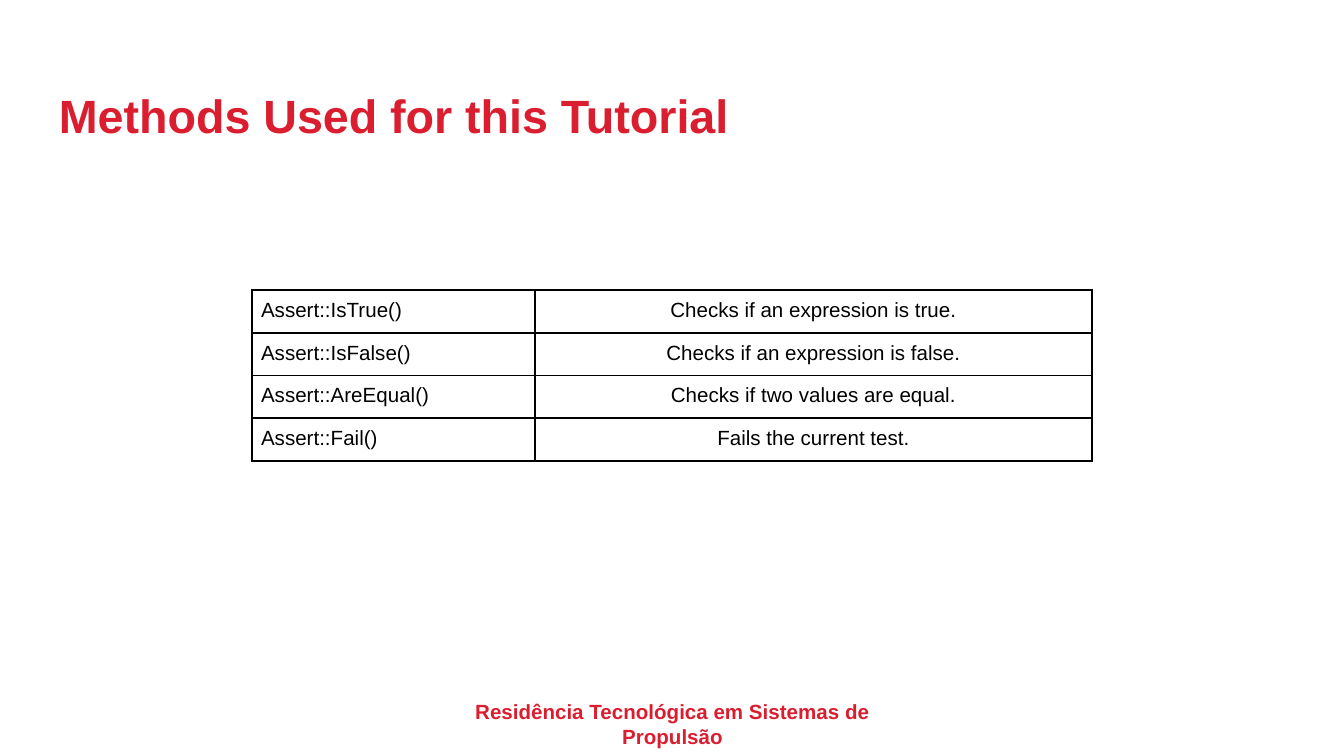
from lxml.etree import SubElement
from pptx import Presentation
from pptx.dml.color import RGBColor
from pptx.enum.text import MSO_ANCHOR, MSO_AUTO_SIZE, PP_ALIGN
from pptx.oxml.ns import qn
from pptx.util import Pt

SCALE = 914400 / 134.4
RED, BLACK = "DB1E2F", "000000"
METHODS = [
    ("Assert::IsTrue()", "Checks if an expression is true."),
    ("Assert::IsFalse()", "Checks if an expression is false."),
    ("Assert::AreEqual()", "Checks if two values are equal."),
    ("Assert::Fail()", "Fails the current test."),
]


def px(n):
    return round(n * SCALE)


def rgb(value):
    return RGBColor.from_string(value)


def set_attrs(obj, values):
    for name, value in values.items():
        setattr(obj, name, value)


def write(tf, text, size, color, bold=False, align=PP_ALIGN.LEFT):
    p = tf.paragraphs[0]
    p.alignment = align
    r = p.add_run()
    r.text = text
    set_attrs(r.font, {"name": "Arial", "size": Pt(size), "bold": bold})
    r.font.color.rgb = rgb(color)


def add_text(s, box, text, size, pad, align, frame):
    tf = s.shapes.add_textbox(*map(px, box)).text_frame
    set_attrs(tf, {"word_wrap": True, "margin_left": px(13), "margin_right": px(13),
                   "margin_top": px(pad), "margin_bottom": px(pad), **frame})
    write(tf, text, size, RED, True, align)


def add_borders(cell, color, width):
    tcPr = cell._tc.get_or_add_tcPr()
    for i, side in enumerate(("lnL", "lnR", "lnT", "lnB")):
        ln = SubElement(tcPr, qn(f"a:{side}"), w=str(Pt(width)))
        fill = SubElement(ln, qn("a:solidFill"))
        SubElement(fill, qn("a:srgbClr"), val=color)
        tcPr.insert(i, ln)


def add_methods_table(s, box, col_widths):
    left, top, width, height = box
    table = s.shapes.add_table(len(METHODS), len(col_widths), *map(px, box)).table
    set_attrs(table, {"first_row": False, "horz_banding": False})
    for col, w in zip(table.columns, col_widths):
        col.width = px(w)
    for row, texts in zip(table.rows, METHODS):
        row.height = px(height / len(METHODS))
        for cell, text, align in zip(row.cells, texts, (PP_ALIGN.LEFT, PP_ALIGN.CENTER)):
            set_attrs(cell, {f"margin_{side}": px(9)
                             for side in ("left", "right", "top", "bottom")})
            cell.fill.background()
            add_borders(cell, BLACK, 1)
            write(cell.text_frame, text, 11, BLACK, align=align)


prs = Presentation()
set_attrs(prs, {"slide_width": px(1344), "slide_height": px(756)})
s = prs.slides.add_slide(prs.slide_layouts[6])

# Footer
add_text(s, (417, 692, 511, 39), "Residência Tecnológica em Sistemas de Propulsão",
         11, 7, PP_ALIGN.CENTER, {"auto_size": MSO_AUTO_SIZE.SHAPE_TO_FIT_TEXT})
# Title
add_text(s, (46, 71, 1253, 85), "Methods Used for this Tutorial",
         25, 13, PP_ALIGN.LEFT, {"vertical_anchor": MSO_ANCHOR.BOTTOM})
# Table of methods
add_methods_table(s, (252, 290, 840, 167), (283, 557))

prs.save("out.pptx")
